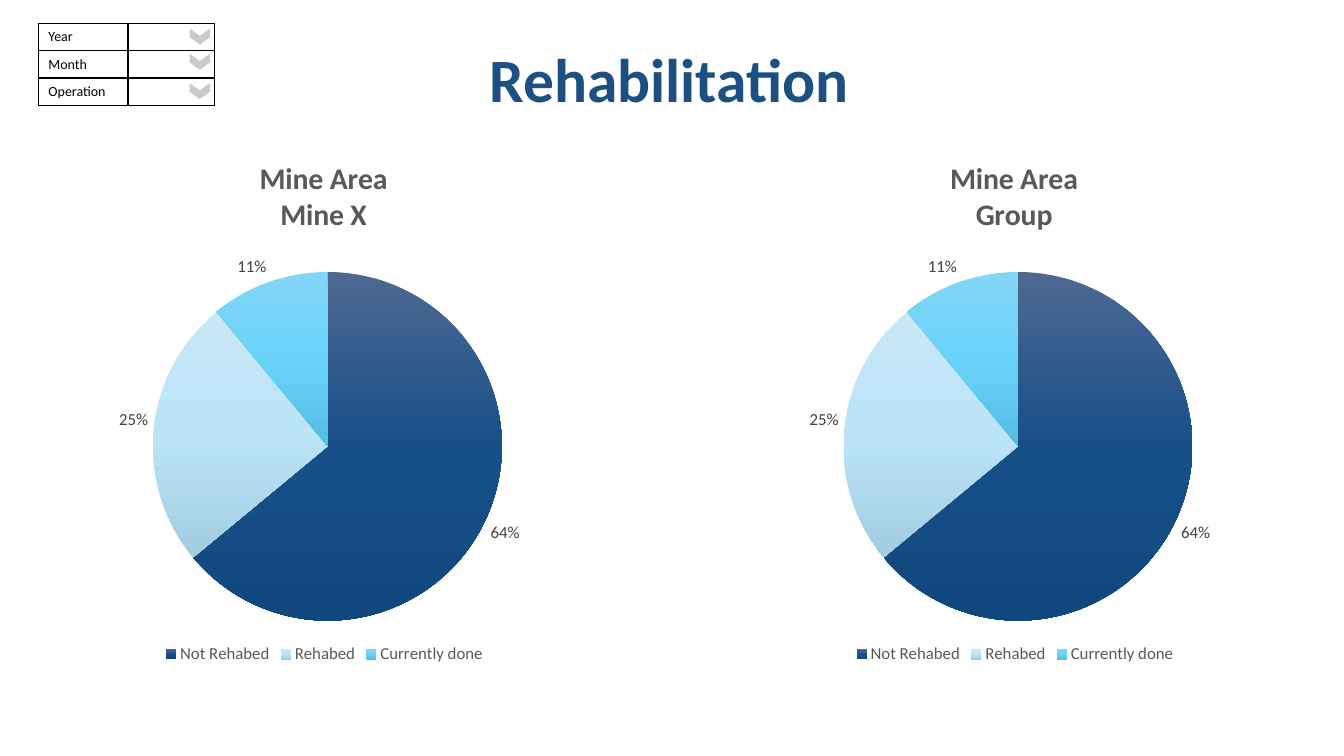
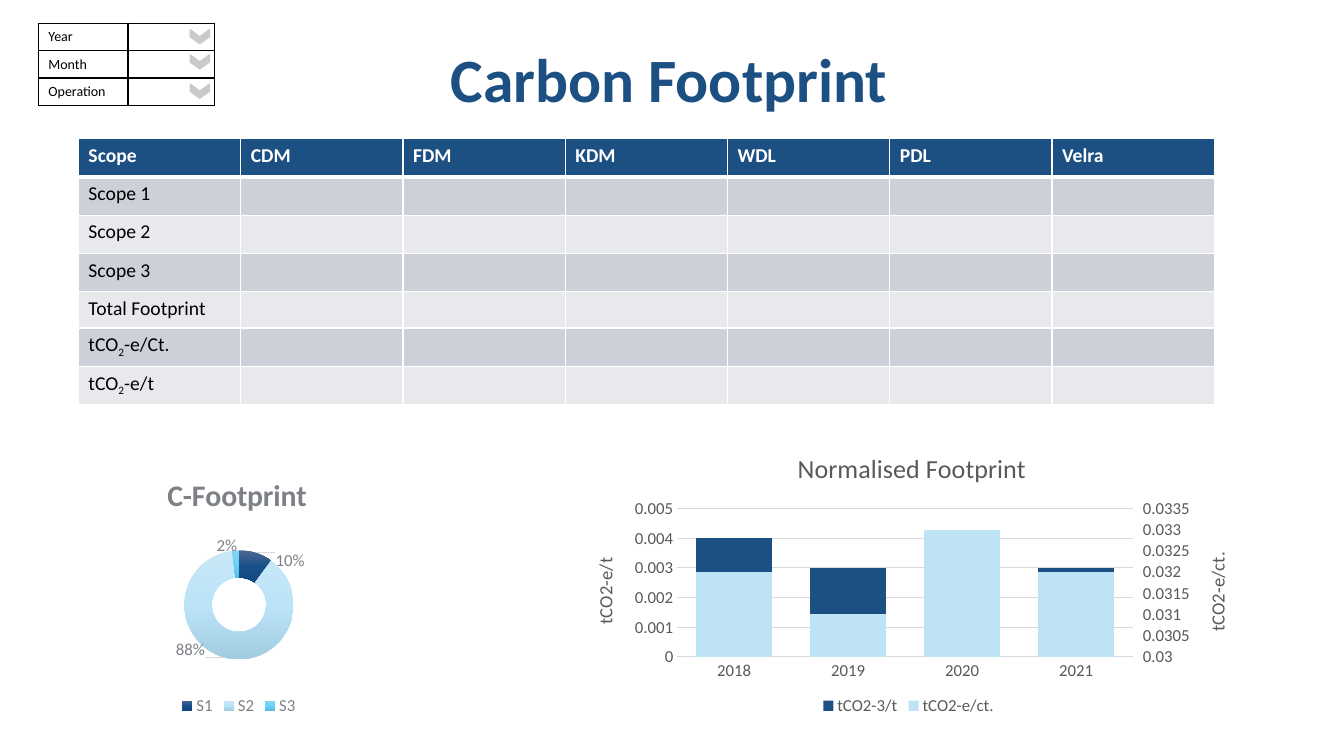
from copy import deepcopy
from dataclasses import dataclass

from pptx import Presentation
from pptx.chart.axis import CategoryAxis, ValueAxis
from pptx.chart.data import CategoryChartData as ChartData
from pptx.dml.color import RGBColor as RGB
from pptx.enum.chart import XL_CHART_TYPE as ChartType
from pptx.enum.chart import XL_LABEL_POSITION as LabelPos
from pptx.enum.chart import XL_LEGEND_POSITION as LegendPos
from pptx.enum.chart import XL_TICK_MARK as Tick
from pptx.enum.shapes import MSO_SHAPE as Preset
from pptx.enum.text import MSO_ANCHOR as Anchor
from pptx.enum.text import PP_ALIGN as Align
from pptx.oxml import parse_xml
from pptx.oxml.ns import nsdecls, qn
from pptx.util import Pt


@dataclass(frozen=True)
class Theme:
    """Colours and type sizes shared by the slides."""
    font: str = "Calibri"
    navy: str = "1C5083"
    sky: str = "BEE3F4"
    black: str = "000000"
    white: str = "FFFFFF"
    grey: str = "595959"
    label: str = "404040"
    muted: str = "7D8186"
    chevron: str = "C8CACB"
    grid: str = "D9D9D9"
    bands: tuple = ("E8E9ED", "CDD0D9")
    slices: tuple = (("4E6892", "175088", "10477E"),
                     ("C9E8F7", "BBE4F7", "A2CCE0"),
                     ("83D5F5", "69D2F9", "56BEE5"))
    title: float = 44
    chart_title: float = 21.3
    plain_title: float = 18.6
    axis_title: float = 13.3
    table: float = 14
    chart: float = 12
    filter: float = 10


@dataclass(frozen=True)
class Box:
    """A region of the slide, in points."""
    left: float
    top: float
    width: float
    height: float

    def emu(self):
        """Return the four lengths for a shape call."""
        return Pt(self.left), Pt(self.top), Pt(self.width), Pt(self.height)


THEME = Theme()
PAGE = Box(0, 0, 960, 540)
TITLE = Box(64, 6.5, 828, 104.4)
FILTER = Box(27.4, 16.8, 126, 58.5)


def style_font(font, size, color, bold=False):
    """Apply face, size, colour and weight."""
    font.name, font.size, font.bold = THEME.font, Pt(size), bold
    font.color.rgb = RGB.from_string(color)


def add_run(paragraph, text, size, color, bold=False):
    """Append one formatted run and return it."""
    run = paragraph.add_run()
    run.text = text
    style_font(run.font, size, color, bold)
    return run


def add_title(slide, text):
    """Fill and place the title placeholder."""
    title = slide.shapes.title
    title.left, title.top, title.width, title.height = TITLE.emu()
    frame = title.text_frame
    frame.word_wrap, frame.vertical_anchor = True, Anchor.MIDDLE
    heading = frame.paragraphs[0]
    heading.alignment, heading.line_spacing = Align.CENTER, 0.9
    add_run(heading, text, THEME.title, THEME.navy, True)


def add_grid(slide, box, widths, heights):
    """Add an unstyled table with the given columns and rows."""
    grid = slide.shapes.add_table(len(heights), len(widths), *box.emu()).table
    grid.first_row = grid.horz_banding = False
    for column, width in zip(grid.columns, widths):
        column.width = Pt(width)
    for row, height in zip(grid.rows, heights):
        row.height = Pt(height)
    return grid


def set_borders(cell, color, left=1, right=1, top=1, bottom=1):
    """Draw the four edges of a cell."""
    edges = {"L": left, "R": right, "T": top, "B": bottom}
    for index, (side, width) in enumerate(edges.items()):
        cell._tc.get_or_add_tcPr().insert(index, parse_xml(
            f'<a:ln{side} {nsdecls("a")} w="{Pt(width)}"><a:solidFill>'
            f'<a:srgbClr val="{color}"/></a:solidFill></a:ln{side}>'))


def write_cell(cell, parts, size, color, bold=False):
    """Write the runs of a cell, the second one as subscript."""
    paragraph = cell.text_frame.paragraphs[0]
    for index, part in enumerate(parts):
        run = add_run(paragraph, part, size, color, bold)
        if index == 1:
            run._r.get_or_add_rPr().set("baseline", "-25000")
    if not parts:
        paragraph._p.get_or_add_endParaRPr().set("sz", str(size * 100))


def add_filter(slide, box):
    """Add the selector with its three drop-down marks."""
    names = ("Year", "Month", "Operation")
    grid = add_grid(slide, box, (64, box.width - 64), [box.height / 3] * 3)
    for row, name in enumerate(names):
        for column, parts in enumerate(((name,), ())):
            cell = grid.cell(row, column)
            cell.fill.background()
            write_cell(cell, parts, THEME.filter, THEME.black)
            set_borders(cell, THEME.black)
    for offset in (2.6, 20.6, 41.5):
        mark_box = Box(box.left + 110.3, box.top + offset, 10, 13.7)
        mark = slide.shapes.add_shape(Preset.CHEVRON, *mark_box.emu())
        mark.rotation, mark.shadow.inherit = 90, False
        mark.fill.solid()
        mark.fill.fore_color.rgb = RGB.from_string(THEME.chevron)
        mark.line.color.rgb = RGB.from_string(THEME.chevron)
        mark.line.width = Pt(1)


def add_scope_table(slide, box):
    """Add the footprint table by scope and operation."""
    heads = ("Scope", "CDM", "FDM", "KDM", "WDL", "PDL", "Velra")
    scopes = (("Scope 1",), ("Scope 2",), ("Scope 3",), ("Total Footprint",),
              ("tCO", "2", "-e/Ct."), ("tCO", "2", "-e/t"))
    heights = [27.4] * 4 + [25.9] + [27.4] * 2
    grid = add_grid(slide, box, [box.width / len(heads)] * len(heads), heights)
    rows = [[(head,) for head in heads]]
    rows += [[scope] + [()] * (len(heads) - 1) for scope in scopes]
    for row, entries in enumerate(rows):
        header = row == 0
        fill = THEME.navy if header else THEME.bands[row % 2]
        color = THEME.white if header else THEME.black
        for column, parts in enumerate(entries):
            cell = grid.cell(row, column)
            cell.fill.solid()
            cell.fill.fore_color.rgb = RGB.from_string(fill)
            write_cell(cell, parts, THEME.table, color, header)
            set_borders(cell, THEME.white, top=3 if row == 1 else 1,
                        bottom=3 if header else 1)


def layout_xml(target="", **values):
    """Build a manual layout from fractions of the chart."""
    fields = "".join(f'<c:{key} val="{value}"/>' for key, value in values.items())
    return parse_xml(f'<c:layout {nsdecls("c")}><c:manualLayout>{target}{fields}'
                     '</c:manualLayout></c:layout>')


def set_layout(part, x, y, w=None, h=None):
    """Place a title or the plot area inside its chart."""
    for old in part.findall(qn("c:layout")):
        part.remove(old)
    values = dict(xMode="edge", yMode="edge", x=x, y=y)
    target = ""
    if w is not None:
        values.update(w=w, h=h)
        target = '<c:layoutTarget val="inner"/>'
    index = 0 if part.find(qn("c:tx")) is None else 1
    part.insert(index, layout_xml(target, **values))


def write_chart_title(title, lines, place, size, color, bold=False):
    """Write and place a chart or axis title."""
    frame = title.text_frame
    for index, line in enumerate(lines):
        paragraph = frame.add_paragraph() if index else frame.paragraphs[0]
        add_run(paragraph, line, size, color, bold)
    set_layout(title._element, *place)


def add_chart(slide, box, kind, categories, series, plot_place, color):
    """Add a chart with its fonts, legend and plot area."""
    data = ChartData()
    data.categories = categories
    for name, values in series:
        data.add_series(name, values)
    chart = slide.shapes.add_chart(kind, *box.emu(), data).chart
    style_font(chart.font, THEME.filter, THEME.black)
    chart.has_legend = chart.has_title = True
    chart.legend.position = LegendPos.BOTTOM
    chart.legend.include_in_layout = False
    style_font(chart.legend.font, THEME.chart, color)
    set_layout(chart._chartSpace.chart.plotArea, *plot_place)
    return chart


def style_slices(chart, color):
    """Shade the slices and show percentages."""
    chart.plots[0].vary_by_categories = True
    series = chart.plots[0].series[0]
    for index, shades in enumerate(THEME.slices):
        fill = series.points[index].format.fill
        fill.gradient()
        fill.gradient_angle = 270
        stops = series._element.findall(".//" + qn("a:gsLst"))[-1]
        stops.append(deepcopy(stops[-1]))
        for stop, position, shade in zip(fill.gradient_stops, (0, 0.5, 1), shades):
            stop.position = position
            stop.color.rgb = RGB.from_string(shade)
    labels = series.data_labels
    labels.show_percentage, labels.show_value = True, False
    labels.number_format, labels.number_format_is_linked = "0%", False
    style_font(labels.font, THEME.chart, color)
    return labels


def add_area_pie(slide, box, scope):
    """Add the pie of mine area for one scope."""
    chart = add_chart(slide, box, ChartType.PIE,
                      ("Not Rehabed", "Rehabed", "Currently done"),
                      [("Series 1", (64, 25, 11))],
                      (0.22, 0.25, 0.57, 0.66), THEME.grey)
    write_chart_title(chart.chart_title, ("Mine Area", scope), (0.39, 0.03),
                      THEME.chart_title, THEME.grey, True)
    style_slices(chart, THEME.label).position = LabelPos.OUTSIDE_END


def add_scope_ring(slide, box):
    """Add the ring of footprint shares with moved labels."""
    chart = add_chart(slide, box, ChartType.DOUGHNUT, ("S1", "S2", "S3"),
                      [("C-Footprint", (10, 88, 2))],
                      (0.33, 0.35, 0.34, 0.42), THEME.muted)
    write_chart_title(chart.chart_title, ("C-Footprint",), (0.26, 0.04),
                      THEME.chart_title, THEME.muted, True)
    labels = style_slices(chart, THEME.muted)._element
    chart._chartSpace.find(".//" + qn("c:holeSize")).set("val", "53")
    shared = [item for item in labels if item.tag != qn("c:showLeaderLines")]
    for index, (x, y) in enumerate(((0.12, -0.02), (-0.12, 0.02), (-0.03, -0.07))):
        label = parse_xml(f'<c:dLbl {nsdecls("c")}><c:idx val="{index}"/></c:dLbl>')
        label.append(layout_xml(x=x, y=y))
        label.extend(deepcopy(item) for item in shared)
        labels.insert(index, label)
    labels.append(parse_xml(
        f'<c:leaderLines {nsdecls("c", "a")}><c:spPr><a:ln w="{Pt(0.75)}"><a:solidFill>'
        f'<a:srgbClr val="{THEME.grid}"/></a:solidFill></a:ln></c:spPr></c:leaderLines>'))


def style_value_axis(axis, text, place, scale, tick):
    """Format a value axis and its upright title."""
    axis.minimum_scale, axis.maximum_scale, axis.major_unit = scale
    axis.major_tick_mark = tick
    axis.format.line.fill.background()
    axis.tick_labels.number_format = "General"
    axis.tick_labels.number_format_is_linked = False
    style_font(axis.tick_labels.font, THEME.chart, THEME.grey)
    axis.has_title = True
    write_chart_title(axis.axis_title, (text,), place, THEME.axis_title, THEME.grey)
    body = axis.axis_title._element.find(".//" + qn("a:bodyPr"))
    body.set("rot", "-5400000")
    body.set("vert", "horz")


def split_right_axis(chart, left_axis):
    """Move the second series to a right axis and return that axis."""
    bars = chart._chartSpace.chart.plotArea.find(qn("c:barChart"))
    right_bars = deepcopy(bars)
    bars.remove(bars.findall(qn("c:ser"))[1])
    right_bars.remove(right_bars.findall(qn("c:ser"))[0])
    bars.addnext(right_bars)
    categories = deepcopy(chart.category_axis._element)
    values = deepcopy(left_axis._element)
    left_axis._element.addnext(categories)
    categories.addnext(values)
    for part, ids in ((right_bars, ("5001", "5002")), (categories, ("5001",)),
                      (values, ("5002",))):
        for element, number in zip(part.findall(qn("c:axId")), ids):
            element.set("val", number)
    categories.find(qn("c:crossAx")).set("val", "5002")
    values.find(qn("c:crossAx")).set("val", "5001")
    values.find(qn("c:crosses")).set("val", "max")
    values.find(qn("c:axPos")).set("val", "r")
    CategoryAxis(categories).visible = False
    right_axis = ValueAxis(values)
    right_axis.has_major_gridlines = False
    return right_axis


def add_normalised_bars(slide, box):
    """Add the overlaid columns on two value axes."""
    chart = add_chart(slide, box, ChartType.COLUMN_CLUSTERED,
                      ("2018", "2019", "2020", "2021"),
                      [("tCO2-3/t", (0.004, 0.003, 0.004, 0.003)),
                       ("tCO2-e/ct.", (0.032, 0.031, 0.033, 0.032))],
                      (0.16, 0.26, 0.67, 0.52), THEME.grey)
    write_chart_title(chart.chart_title, ("Normalised Footprint",), (0.33, 0.04),
                      THEME.plain_title, THEME.grey)
    plot = chart.plots[0]
    plot.gap_width, plot.vary_by_categories = 50, False
    for series, color in zip(plot.series, (THEME.navy, THEME.sky)):
        series.format.fill.solid()
        series.format.fill.fore_color.rgb = RGB.from_string(color)
    years, left_axis = chart.category_axis, chart.value_axis
    years.major_tick_mark = Tick.NONE
    style_font(years.tick_labels.font, THEME.chart, THEME.grey)
    for line in (years.format.line, left_axis.major_gridlines.format.line):
        line.color.rgb, line.width = RGB.from_string(THEME.grid), Pt(0.75)
    right_axis = split_right_axis(chart, left_axis)
    style_value_axis(left_axis, "tCO2-e/t", (0.03, 0.42),
                     (0, 0.005, 0.001), Tick.NONE)
    style_value_axis(right_axis, "tCO2-e/ct.", (0.93, 0.4),
                     (0.03, 0.0335, 0.0005), Tick.OUTSIDE)


def rehabilitation(slide):
    """Place the two mine area pies."""
    for left, scope in ((11.5, "Mine X"), (504.7, "Group")):
        add_area_pie(slide, Box(left, 100, 440.6, 377.3), scope)


def carbon_footprint(slide):
    """Place the scope table and its two charts."""
    add_scope_table(slide, Box(56, 98.9, 811.4, 190.3))
    add_scope_ring(slide, Box(56.2, 327.6, 229, 186.5))
    add_normalised_bars(slide, Box(406, 310.3, 486, 203.8))


def main():
    """Build and save the deck."""
    deck = Presentation()
    deck.slide_width, deck.slide_height = Pt(PAGE.width), Pt(PAGE.height)
    for title, fill_body in (("Rehabilitation", rehabilitation),
                             ("Carbon Footprint", carbon_footprint)):
        slide = deck.slides.add_slide(deck.slide_layouts[5])
        add_title(slide, title)
        fill_body(slide)
        add_filter(slide, FILTER)
    deck.save("out.pptx")


if __name__ == "__main__":
    main()
